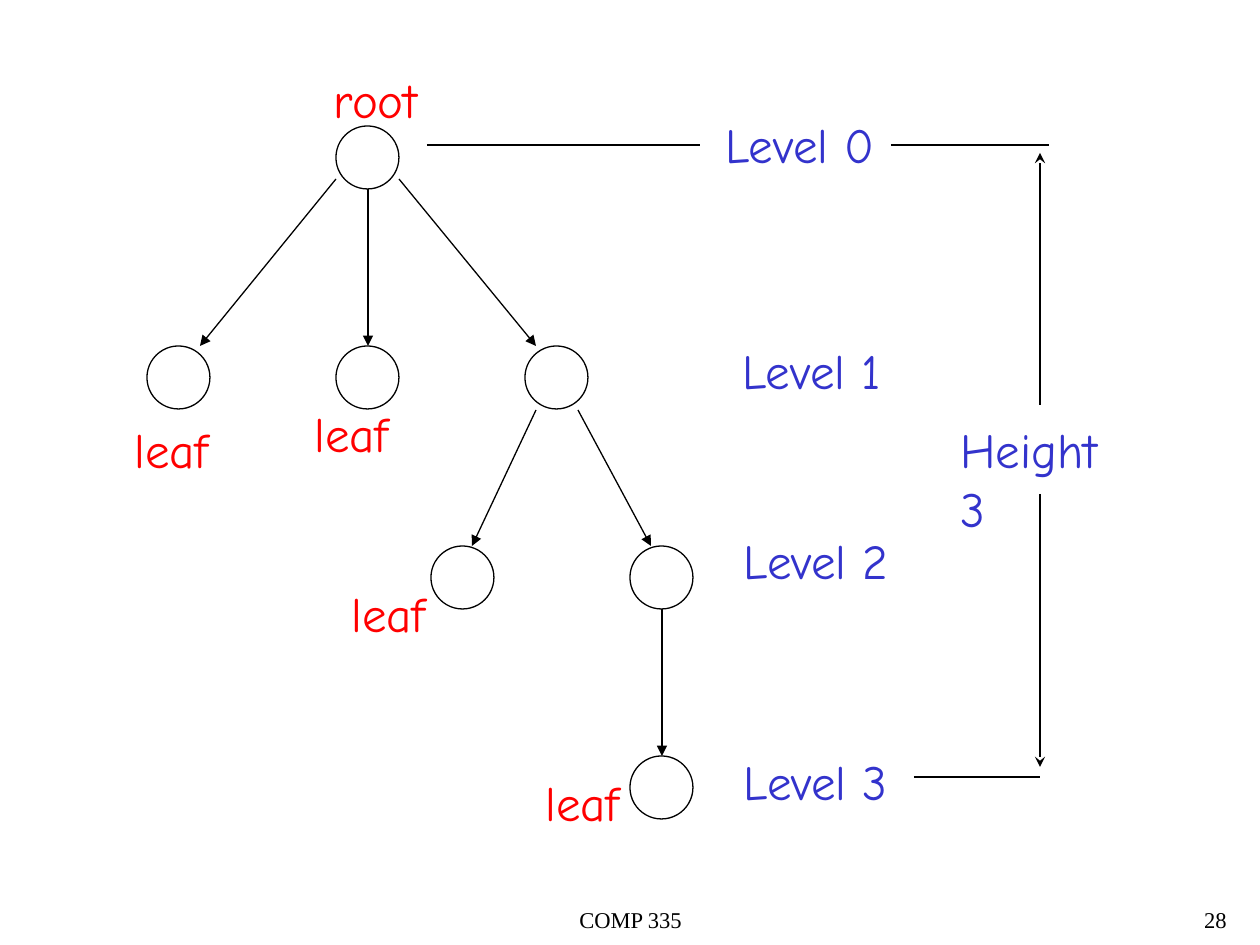
from lxml import etree
from pptx import Presentation
from pptx import util as u
from pptx.dml.color import RGBColor
from pptx.enum import shapes, text
from pptx.oxml.ns import qn

BLACK = RGBColor(0x00, 0x00, 0x00)
RED = RGBColor(0xFF, 0x00, 0x00)
BLUE = RGBColor(0x33, 0x33, 0xCC)
PX = 914400 / 126
NODE = 63
LABEL_H = 72

NODES = [(336, 126), (147, 346), (336, 346), (525, 346),
         (431, 546), (630, 546), (630, 756)]
EDGES = [
    (336, 179, 200, 346), (368, 189, 368, 346), (399, 179, 536, 346),
    (536, 410, 472, 546), (578, 410, 651, 546), (662, 609, 662, 756),
]
LEVEL_LINES = [(427, 145, 700, 145), (891, 145, 1049, 145), (914, 777, 1040, 777)]
HEIGHT_ARROWS = [(1040, 405, 1040, 153), (1040, 494, 1040, 767)]
LABELS = [
    (RED, [("root", 321, 63, 110), ("leaf", 122, 413, 100), ("leaf", 302, 397, 100),
           ("leaf", 339, 577, 100), ("leaf", 533, 766, 100)]),
    (BLUE, [("Level 0", 713, 108, 175), ("Level 1", 730, 334, 165),
            ("Level 2", 731, 524, 171), ("Level 3", 731, 745, 170),
            ("Height 3", 948, 413, 203)]),
]
FOOTERS = [("COMP 335", 431, 399, text.PP_ALIGN.CENTER),
           ("28", 977, 262, text.PP_ALIGN.RIGHT)]


def emu(*lengths):
    return [u.Emu(round(n * PX)) for n in lengths]


def add_text(s, words, box, font, size, color, align, wrap=False):
    tf = s.shapes.add_textbox(*emu(*box)).text_frame
    tf.word_wrap = wrap
    p = tf.paragraphs[0]
    p.text = words
    p.alignment = align
    p.font.name, p.font.size = font, u.Pt(size)
    p.font.color.rgb = color
    return p


def add_line(s, ends, arrow=None):
    sp = s.shapes.add_connector(shapes.MSO_CONNECTOR.STRAIGHT, *emu(*ends))
    sp.line.color.rgb = BLACK
    sp.line.width = u.Pt(0.75)
    if arrow:
        etree.SubElement(sp.line._get_or_add_ln(), qn("a:tailEnd"), type=arrow)
    etree.SubElement(sp._element.spPr, qn("a:effectLst"))


def add_node(s, x, y):
    sp = s.shapes.add_shape(shapes.MSO_SHAPE.OVAL, *emu(x, y, NODE, NODE))
    sp.shadow.inherit = False
    sp.fill.background()
    sp.line.color.rgb = BLACK
    sp.line.width = u.Pt(0.75)


def main():
    prs = Presentation()
    prs.slide_width, prs.slide_height = u.Inches(10), u.Inches(7.5)
    s = prs.slides.add_slide(prs.slide_layouts[6])
    for words, x, w, align in FOOTERS:
        p = add_text(s, words, (x, 903, w, 42), "Times New Roman", 12.9, BLACK, align, True)
        p.line_spacing = 0.9
    for node in NODES:
        add_node(s, *node)
    for lines, arrow in ((EDGES, "triangle"), (LEVEL_LINES, None), (HEIGHT_ARROWS, "stealth")):
        for ends in lines:
            add_line(s, ends, arrow)
    for color, labels in LABELS:
        for words, x, y, w in labels:
            add_text(s, words, (x, y, w, LABEL_H), "Comic Neue", 28, color, text.PP_ALIGN.LEFT)
    prs.save("out.pptx")


if __name__ == "__main__":
    main()
